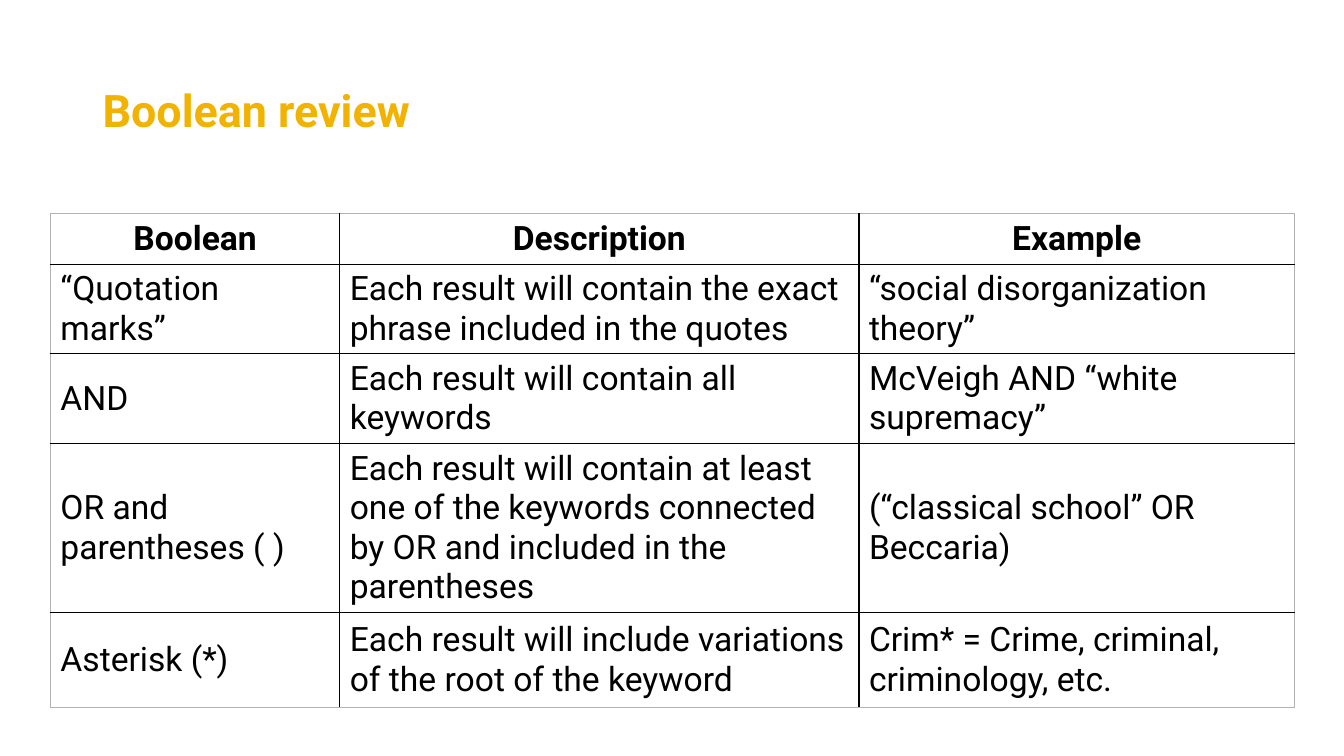
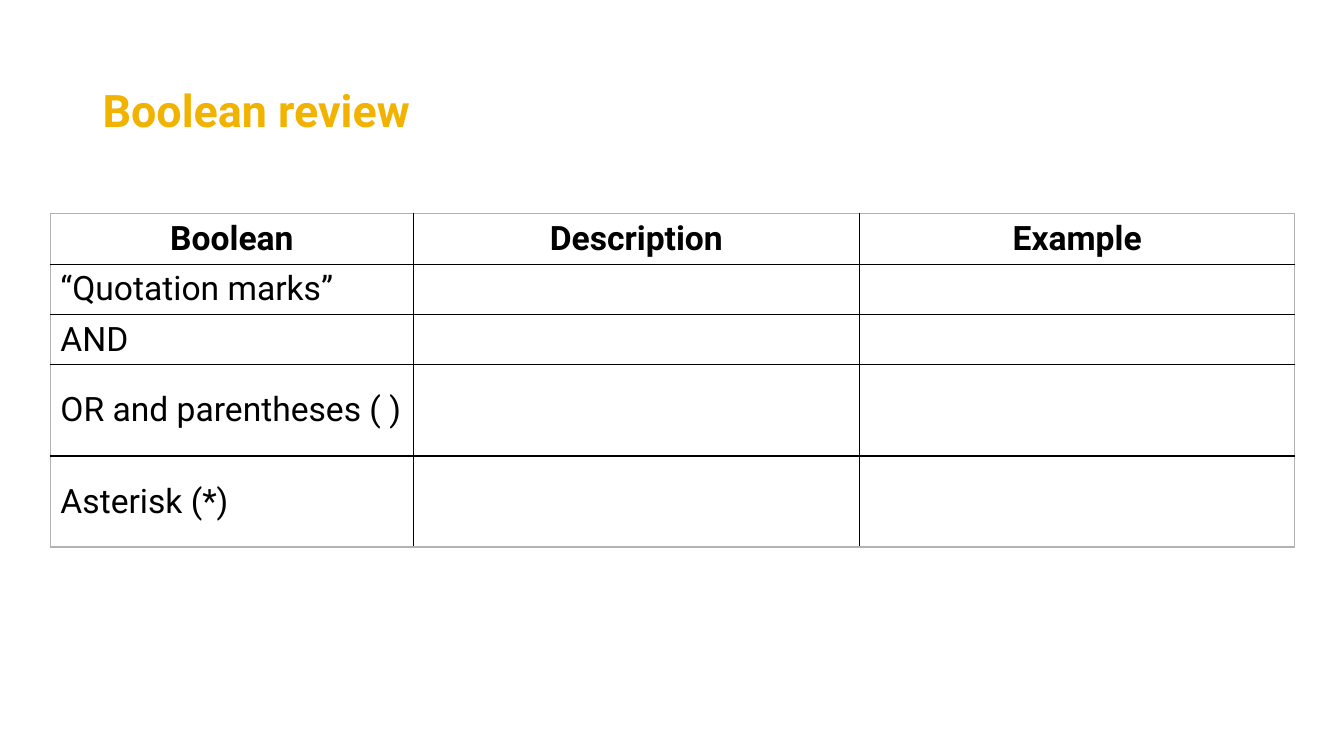
from dataclasses import dataclass

from lxml import etree
from pptx import Presentation
from pptx.dml.color import RGBColor
from pptx.enum.text import MSO_ANCHOR, MSO_AUTO_SIZE, PP_ALIGN
from pptx.oxml.ns import qn
from pptx.util import Inches, Pt

LEFT, CENTER = PP_ALIGN.LEFT, PP_ALIGN.CENTER
MIDDLE = MSO_ANCHOR.MIDDLE
NO_AUTOFIT = MSO_AUTO_SIZE.NONE
TITLE_ONLY = 5


@dataclass(frozen=True)
class Theme:
    """Colours, type sizes and line widths of the deck."""
    font: str = "Roboto"
    gold: str = "F1B300"
    ink: str = "000000"
    edge: str = "B2B2B2"
    title_size: int = 32
    table_size: int = 24
    rule: int = 1


def apply(target, values):
    """Set every attribute named in a dict of format values."""
    for name, value in values.items():
        setattr(target, name, value)


class Builder:
    """Holds the deck, its theme and the current slide."""

    def __init__(self, theme):
        """Start an empty wide deck."""
        self.theme = theme
        self.deck = Presentation()
        apply(self.deck, {"slide_width": Inches(13.33), "slide_height": Inches(7.5)})
        self.page = None

    def across(self, percent):
        """Turn a percentage of the slide width into a length."""
        return round(self.deck.slide_width * percent / 100)

    def down(self, percent):
        """Turn a percentage of the slide height into a length."""
        return round(self.deck.slide_height * percent / 100)

    def style_font(self, font, size, color, bold):
        """Format a font in the deck typeface."""
        apply(font, {"name": self.theme.font, "size": Pt(size), "bold": bold})
        font.color.rgb = RGBColor.from_string(color)

    def add_page(self, title):
        """Add a slide and set its title placeholder."""
        self.page = self.deck.slides.add_slide(self.deck.slide_layouts[TITLE_ONLY])
        box = self.page.shapes.title
        apply(box, {"left": self.across(6.88), "top": self.down(5.33),
                    "width": self.across(86.25), "height": self.down(19.33)})
        apply(box.text_frame, {"text": title, "vertical_anchor": MIDDLE,
                               "word_wrap": True, "auto_size": NO_AUTOFIT})
        para = box.text_frame.paragraphs[0]
        apply(para, {"alignment": LEFT, "line_spacing": 0.9})
        self.style_font(para.runs[0].font, self.theme.title_size, self.theme.gold, True)

    def add_table(self, columns, heights, rows):
        """Add a ruled table; columns and heights are slide percentages."""
        frame = self.page.shapes.add_table(
            len(heights), len(columns), self.across(3.75), self.down(28.27),
            self.across(sum(columns)), self.down(sum(heights)))
        table = frame.table
        apply(table, {"first_row": False, "horz_banding": False})
        for column, width in zip(table.columns, columns):
            column.width = self.across(width)
        for row, height in zip(table.rows, heights):
            row.height = self.down(height)
        last_row, last_column = len(heights) - 1, len(columns) - 1
        for r, texts in enumerate(rows):
            for c, text in enumerate(texts):
                cell = table.cell(r, c)
                self.rule_cell(cell, {"a:lnL": c == 0, "a:lnR": c == last_column,
                                      "a:lnT": r == 0, "a:lnB": r == last_row})
                self.fill_cell(cell, text, header=r == 0, first=c == 0)

    def fill_cell(self, cell, text, header, first):
        """Write a cell: centred bold headers, plain left-aligned body."""
        cell.fill.background()
        side = Inches(0.05)
        apply(cell, {"vertical_anchor": MIDDLE, "margin_top": side, "margin_bottom": side,
                     "margin_left": side if header else Inches(0.1),
                     "margin_right": Inches(0.1) if first and not header else side})
        if text:
            para = cell.text_frame.paragraphs[0]
            para.alignment = CENTER if header else LEFT
            span = para.add_run()
            span.text = text
            self.style_font(span.font, self.theme.table_size, self.theme.ink, header)

    def rule_cell(self, cell, sides):
        """Draw the four borders, with a lighter line on the outer edge."""
        properties = cell._tc.get_or_add_tcPr()
        for tag, outer in sides.items():
            line = etree.SubElement(properties, qn(tag), w=str(Pt(self.theme.rule)))
            fill = etree.SubElement(line, qn("a:solidFill"))
            color = self.theme.edge if outer else self.theme.ink
            etree.SubElement(fill, qn("a:srgbClr"), val=color)


TITLE = "Boolean review"
HEADER = ("Boolean", "Description", "Example")
OPERATORS = (
    ("“Quotation marks”", "Each result will contain the exact phrase included in the quotes",
     "“social disorganization theory”"),
    ("AND", "Each result will contain all keywords", "McVeigh AND “white supremacy”"),
    ("OR and parentheses ( )",
     "Each result will contain at least one of the keywords connected by OR "
     "and included in the parentheses",
     "(“classical school” OR Beccaria)"),
    ("Asterisk (*)", "Each result will include variations of the root of the keyword",
     "Crim* = Crime, criminal, criminology, etc."),
)
BLANKS = [(name, "", "") for name, *_ in OPERATORS]
TABLES = (
    ((21.53, 38.63, 32.4), (6.67, 11.87, 11.87, 22.4, 12.53), OPERATORS),
    ((27, 33.2, 32.4), (6.67, 6.67, 6.67, 12.05, 12.05), BLANKS),
)

builder = Builder(Theme())
for columns, heights, body in TABLES:
    builder.add_page(TITLE)
    builder.add_table(columns, heights, [HEADER, *body])
builder.deck.save("out.pptx")
